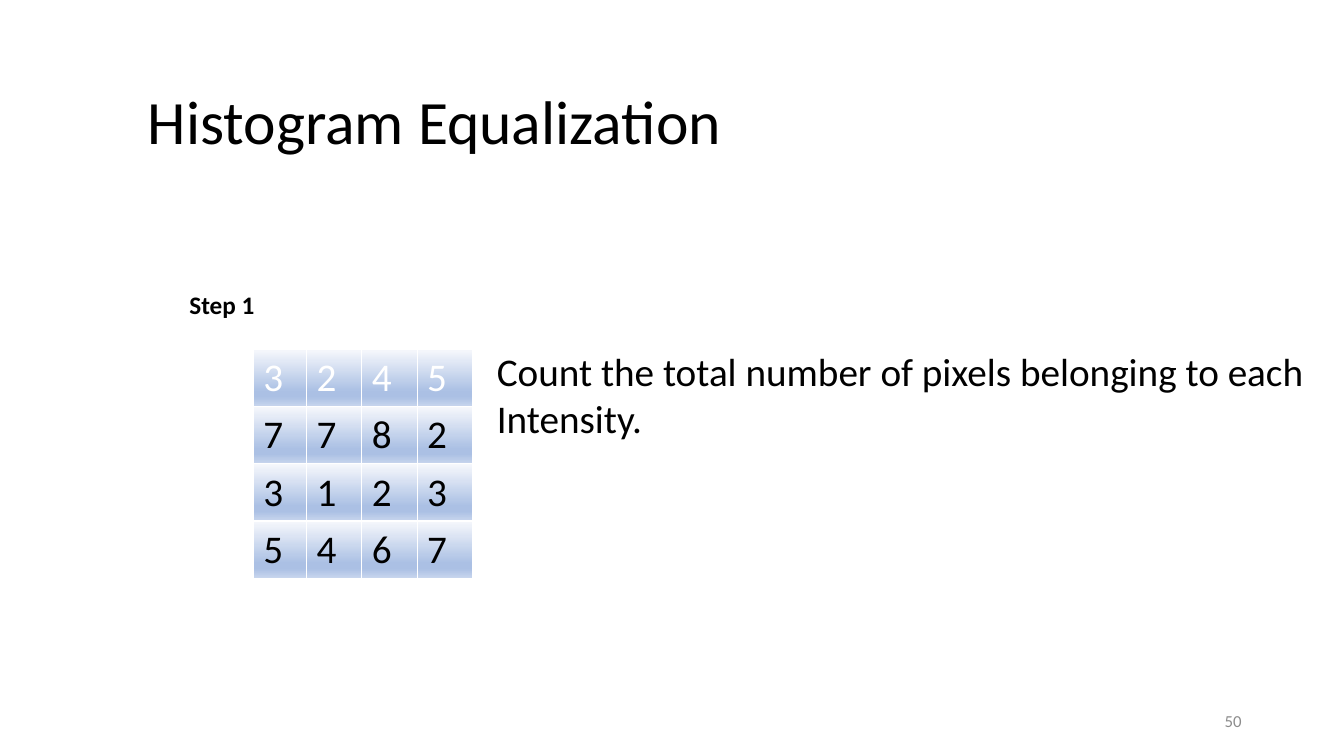
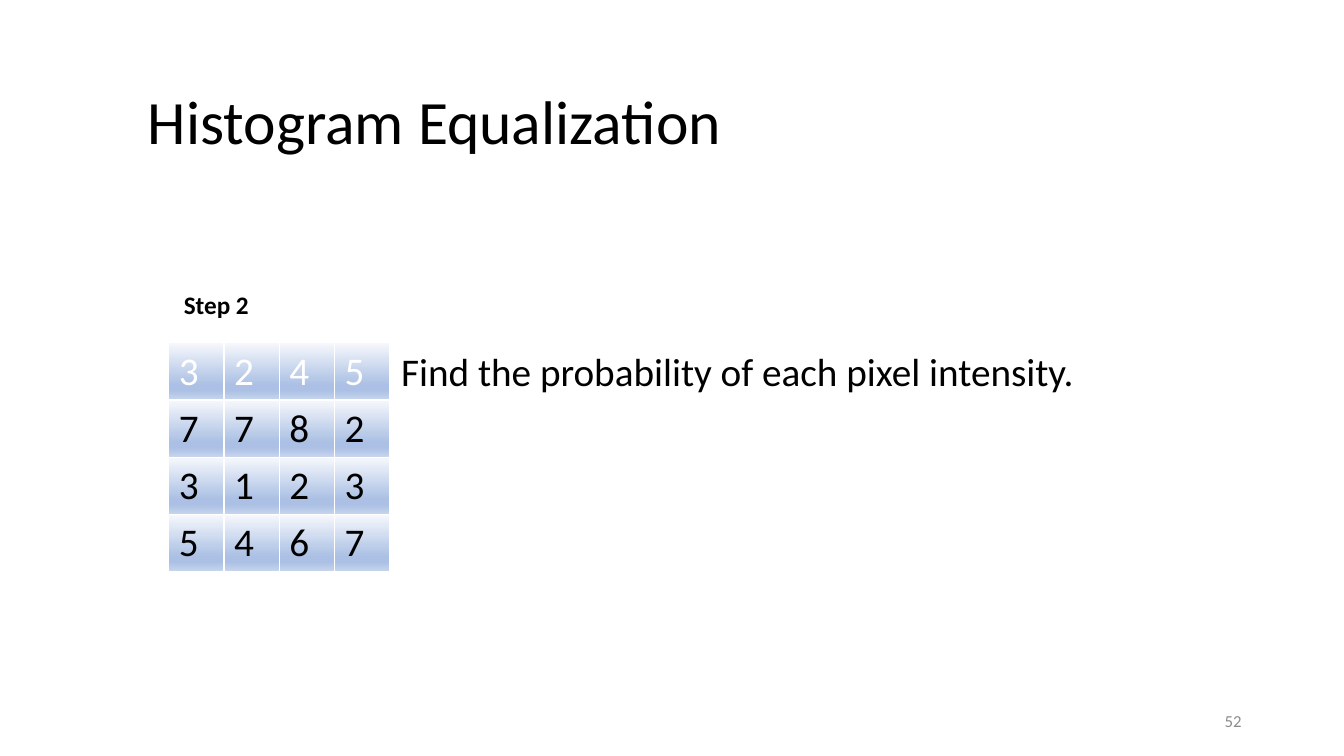
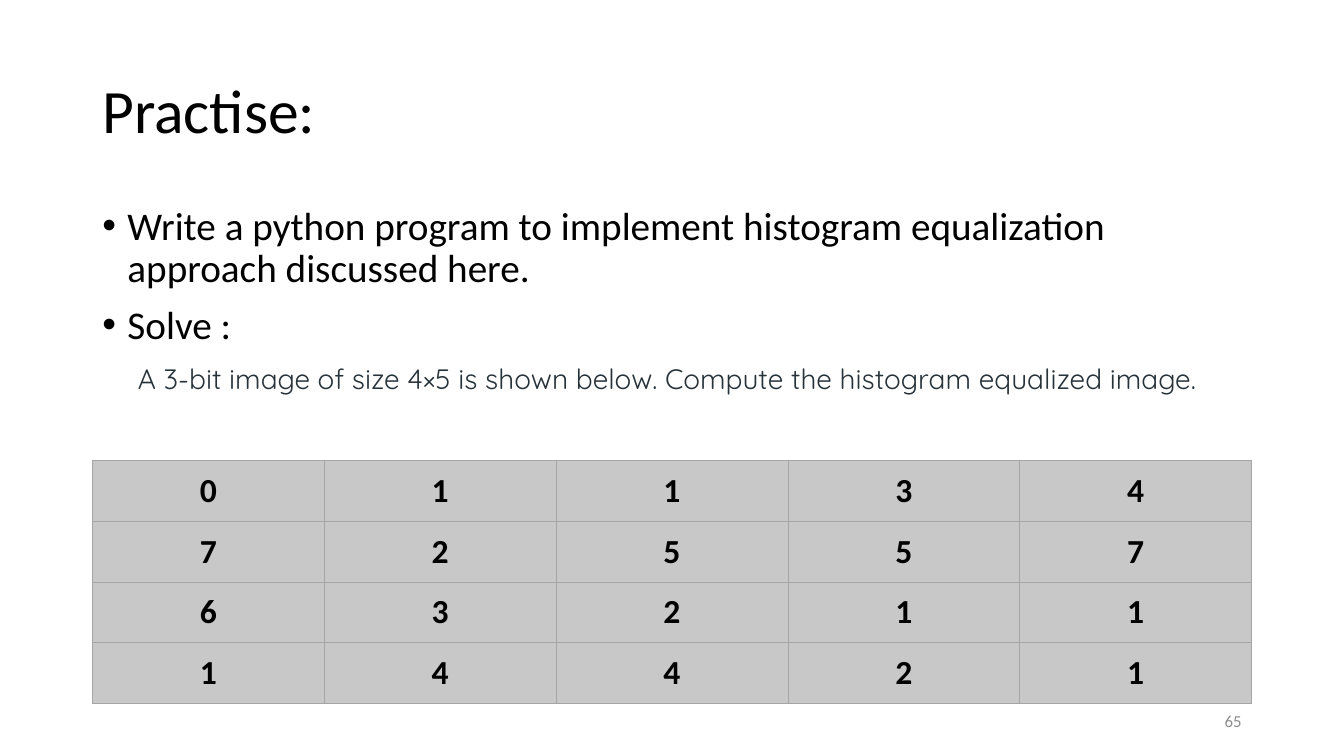
from dataclasses import dataclass

from lxml.etree import SubElement
from pptx import Presentation
from pptx.dml.color import RGBColor
from pptx.enum.text import MSO_ANCHOR, PP_ALIGN
from pptx.oxml import parse_xml
from pptx.oxml.ns import nsdecls, qn
from pptx.util import Pt


@dataclass(frozen=True)
class Theme:
    font: str = "Calibri"
    note_font: str = "Quicksand"
    ink: str = "000000"
    white: str = "FFFFFF"
    muted: str = "8C8C8C"
    note: str = "273239"
    grey_fill: str = "C8C8C8"
    grey_line: str = "A5A5A5"
    blue_stops: tuple = ((0, "F6F8FC"), (74, "ABC0E4"), (83, "ABC0E4"), (100, "C7D5ED"))
    title_size: int = 44
    body_size: int = 28
    grid_size: int = 24
    note_size: int = 20
    step_size: int = 18
    number_size: int = 12


THEME = Theme()

PIXELS = ["3245", "7782", "3123", "5467"]
STEPS = [
    {
        "number": "50",
        "step": "Step 1", "step_left": 128.2,
        "grid_at": (181, 249.5), "columns": [38, 39.5, 39.5, 39.5],
        "text": ["Count the total number of pixels belonging to each", "Intensity."],
        "text_at": (347.8, 244.8, 597, 75),
    },
    {
        "number": "52",
        "step": "Step 2", "step_left": 124.2,
        "grid_at": (120.5, 244.8), "columns": [39.5] * 4,
        "text": ["Find the probability of each pixel intensity."],
        "text_at": (279.4, 244.8, 500.4, 41),
    },
]
PRACTICE = {
    "number": "65",
    "tasks": [
        "Write a python program to implement histogram equalization approach discussed here.",
        "Solve :",
    ],
    "question": "A 3-bit image of size 4×5 is shown below. Compute the histogram equalized image.",
    "pixels": ["01134", "72557", "63211", "14421"],
}
STEP_TITLE_AT = (98.6, 30.2, 801.4, 117.4)
PRACTICE_TITLE_AT = (66, 28.8, 828, 104.4)


def write_text(frame, lines, size=THEME.body_size, color=THEME.ink, font=THEME.font,
               bold=False, align=PP_ALIGN.LEFT, spacing=None, before=0, bullet=False):
    for index, line in enumerate(lines):
        para = frame.paragraphs[0] if index == 0 else frame.add_paragraph()
        para.alignment = align
        para.space_before = Pt(before)
        if spacing:
            para.line_spacing = spacing
        if bullet:
            properties = para._p.get_or_add_pPr()
            properties.set("marL", str(Pt(18)))
            properties.set("indent", str(-Pt(18)))
            SubElement(properties, qn("a:buFont")).set("typeface", "Arial")
            SubElement(properties, qn("a:buChar")).set("char", "•")
        span = para.add_run()
        span.text = line
        span.font.name = font
        span.font.size = Pt(size)
        span.font.bold = bold
        span.font.color.rgb = RGBColor.from_string(color)


def add_text(page, lines, place, anchor=MSO_ANCHOR.TOP, **text_format):
    frame = page.shapes.add_textbox(*map(Pt, place)).text_frame
    frame.word_wrap = True
    frame.vertical_anchor = anchor
    write_text(frame, lines, **text_format)


def add_page(deck, title, title_at, number):
    page = deck.slides.add_slide(deck.slide_layouts[6])
    add_text(page, [title], title_at, MSO_ANCHOR.MIDDLE, size=THEME.title_size, spacing=0.9)
    add_text(page, [number], (678, 500.5, 216, 28.8), MSO_ANCHOR.MIDDLE,
             size=THEME.number_size, color=THEME.muted, align=PP_ALIGN.RIGHT)
    return page


def fill_gradient(cell, stops):
    marks = "".join(
        f'<a:gs pos="{position * 1000}"><a:srgbClr val="{color}"/></a:gs>'
        for position, color in stops)
    cell._tc.get_or_add_tcPr().append(parse_xml(
        f'<a:gradFill {nsdecls("a")} rotWithShape="1"><a:gsLst>{marks}</a:gsLst>'
        '<a:lin ang="5400000" scaled="0"/></a:gradFill>'))


def fill_solid(cell, color):
    cell.fill.solid()
    cell.fill.fore_color.rgb = RGBColor.from_string(color)


def set_borders(cell, color, width):
    properties = cell._tc.get_or_add_tcPr()
    for index, side in enumerate("LRTB"):
        properties.insert(index, parse_xml(
            f'<a:ln{side} {nsdecls("a")} w="{Pt(width)}"><a:solidFill>'
            f'<a:srgbClr val="{color}"/></a:solidFill></a:ln{side}>'))


def add_grid(page, values, corner, columns, row_height, paint, line, line_width):
    table = page.shapes.add_table(
        len(values), len(columns), *map(Pt, corner),
        Pt(sum(columns)), Pt(row_height * len(values))).table
    table.first_row = table.horz_banding = False
    for column, width in zip(table.columns, columns):
        column.width = Pt(width)
    for row, row_values in zip(table.rows, values):
        row.height = Pt(row_height)
        for cell, value in zip(row.cells, row_values):
            paint(cell)
            set_borders(cell, line, line_width)
            yield_format = {"size": THEME.body_size}
            if paint is paint_practice:
                yield_format = {"size": THEME.grid_size, "bold": True, "align": PP_ALIGN.CENTER}
            elif row_values is values[0]:
                yield_format["color"] = THEME.white
            write_text(cell.text_frame, [value], **yield_format)


def paint_step(cell):
    fill_gradient(cell, THEME.blue_stops)


def paint_practice(cell):
    fill_solid(cell, THEME.grey_fill)
    cell.vertical_anchor = MSO_ANCHOR.MIDDLE
    cell.margin_left = cell.margin_right = Pt(5)
    cell.margin_top = cell.margin_bottom = Pt(7.2)


def add_step(deck, content):
    page = add_page(deck, "Histogram Equalization", STEP_TITLE_AT, content["number"])
    add_text(page, [content["step"]], (content["step_left"], 203, 66, 29),
             size=THEME.step_size, bold=True)
    add_grid(page, PIXELS, content["grid_at"], content["columns"], 40.9,
             paint_step, THEME.white, 1)
    add_text(page, content["text"], content["text_at"])


def add_practice(deck, content):
    page = add_page(deck, "Practise:", PRACTICE_TITLE_AT, content["number"])
    add_text(page, content["tasks"], (66, 144, 828, 342.7),
             spacing=0.9, before=10, bullet=True)
    add_grid(page, content["pixels"], (66, 328.8), [165.6] * 5, 43.4,
             paint_practice, THEME.grey_line, 0.5)
    add_text(page, [content["question"]], (91.4, 254.2, 777, 31.7), MSO_ANCHOR.MIDDLE,
             size=THEME.note_size, color=THEME.note, font=THEME.note_font)


def main():
    deck = Presentation()
    deck.slide_width, deck.slide_height = Pt(960), Pt(540)
    for content in STEPS:
        add_step(deck, content)
    add_practice(deck, PRACTICE)
    deck.save("out.pptx")


if __name__ == "__main__":
    main()
